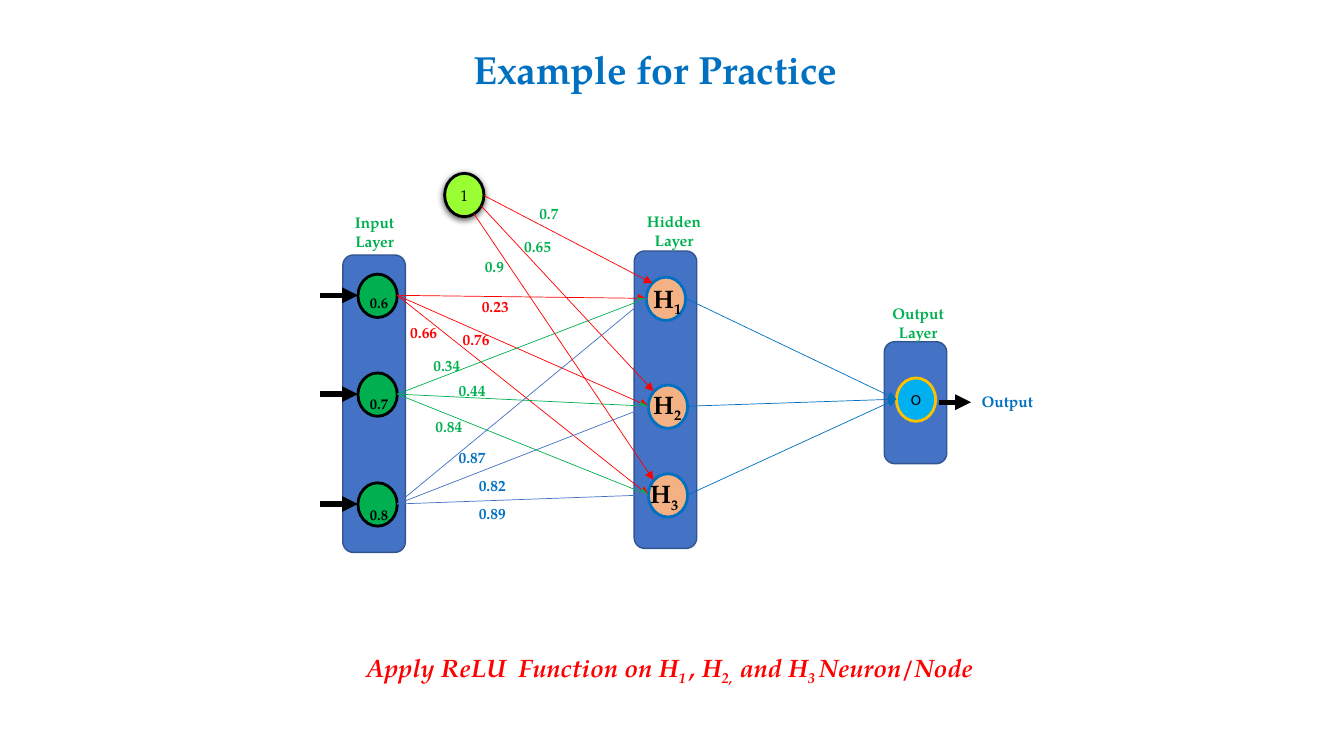
import dataclasses
import itertools
import typing

import lxml.etree
import pptx
import pptx.dml.color
import pptx.enum.shapes
import pptx.enum.text
import pptx.oxml.ns
import pptx.util

RGB = pptx.dml.color.RGBColor
SHAPE = pptx.enum.shapes.MSO_SHAPE
ALIGN = pptx.enum.text.PP_ALIGN
ANCHOR = pptx.enum.text.MSO_ANCHOR
FIT = pptx.enum.text.MSO_AUTO_SIZE
Pt = pptx.util.Pt
qn = pptx.oxml.ns.qn

BLACK = RGB(0x00, 0x00, 0x00)
BLUE = RGB(0x00, 0x70, 0xC0)
RED = RGB(0xFF, 0x00, 0x00)
GREEN = RGB(0x00, 0xB0, 0x50)
PANEL = RGB(0x44, 0x72, 0xC4)
EDGE = RGB(0x32, 0x54, 0x91)
PEACH = RGB(0xF4, 0xB1, 0x83)
SKY = RGB(0x00, 0xB0, 0xF0)
GOLD = RGB(0xFF, 0xC0, 0x00)
LIME = RGB(0x99, 0xFF, 0x33)

SERIF = "TeX Gyre Pagella"
SCALE = 9144  # EMU per px, 100 px to the inch
NODE_W, NODE_H = 39, 43

Point = tuple[int, int]


@dataclasses.dataclass
class Box:
    x: int
    y: int
    w: int
    h: int

    def emu(self) -> list[int]:
        return [v * SCALE for v in (self.x, self.y, self.w, self.h)]


@dataclasses.dataclass
class Label:
    """Text whose words alternate between normal and subscript."""
    words: tuple[str, ...]
    box: Box
    color: RGB
    size: int = 11
    align: typing.Optional[ALIGN] = None
    bold: bool = True
    italic: bool = False
    font: str = SERIF
    wrap: bool = True


@dataclasses.dataclass
class Node:
    x: int
    y: int
    fill: RGB
    line: RGB


def apply(item: typing.Any, values: dict[str, typing.Any]) -> None:
    for name, value in values.items():
        setattr(item, name, value)


def write(frame: typing.Any, label: Label) -> None:
    apply(frame, {"word_wrap": label.wrap, "auto_size": FIT.NONE})
    line = frame.paragraphs[0]
    line.alignment = label.align
    for index, word in enumerate(label.words):
        if not word:
            continue
        run = line.add_run()
        run.text = word
        apply(run.font, {"name": label.font, "size": Pt(label.size),
                         "bold": label.bold, "italic": label.italic})
        run.font.color.rgb = label.color
        if index % 2:
            run._r.get_or_add_rPr().set("baseline", "-25000")


def add_text(shapes: typing.Any, label: Label) -> None:
    box = shapes.add_textbox(*label.box.emu())
    box.text_frame.vertical_anchor = ANCHOR.TOP
    write(box.text_frame, label)


def add_shape(shapes: typing.Any, kind: SHAPE, box: Box, fill: RGB,
              line: RGB, width: int) -> typing.Any:
    shape = shapes.add_shape(kind, *box.emu())
    shape.shadow.inherit = False
    shape.fill.solid()
    shape.fill.fore_color.rgb = fill
    shape.line.color.rgb = line
    shape.line.width = Pt(width)
    return shape


def add_node(shapes: typing.Any, node: Node, text: str = "",
             font: str = SERIF) -> typing.Any:
    box = Box(node.x, node.y, NODE_W, NODE_H)
    shape = add_shape(shapes, SHAPE.OVAL, box, node.fill, node.line, 2)
    if text:
        frame = shape.text_frame
        apply(frame, {"vertical_anchor": ANCHOR.MIDDLE, "margin_left": 0,
                      "margin_right": 0, "margin_top": 0, "margin_bottom": 0})
        write(frame, Label((text,), box, BLACK, align=ALIGN.CENTER,
                           bold=False, font=font))
    return shape


def add_arrow(shapes: typing.Any, start: Point, end: Point, color: RGB,
              width: float = 0.5) -> None:
    ends = [v * SCALE for v in (*start, *end)]
    arrow = shapes.add_connector(
        pptx.enum.shapes.MSO_CONNECTOR.STRAIGHT, *ends)
    arrow.line.color.rgb = color
    arrow.line.width = Pt(width)
    props = arrow.element.spPr
    lxml.etree.SubElement(props.find(qn("a:ln")), qn("a:tailEnd"),
                          type="triangle")
    lxml.etree.SubElement(props, qn("a:effectLst"))


def add_shadow(shape: typing.Any) -> None:
    effects = shape.element.spPr.find(qn("a:effectLst"))
    outer = lxml.etree.SubElement(effects, qn("a:outerShdw"), blurRad="57150",
                                  dist="19050", dir="5400000", algn="ctr",
                                  rotWithShape="0")
    color = lxml.etree.SubElement(outer, qn("a:srgbClr"), val="000000")
    lxml.etree.SubElement(color, qn("a:alpha"), val="63000")


TITLE = Label(("Example for Practice",), Box(366, 40, 568, 57), BLUE, 28,
              ALIGN.CENTER)
TASK = Label(("Apply ReLU  Function on H", "1 ", ", H", "2,  ", "and H", "3 ",
              "Neuron/Node"), Box(244, 642, 840, 40), RED, 18, ALIGN.CENTER,
             italic=True)
PANELS = [Box(340, 253, 62, 295), Box(629, 249, 62, 295),
          Box(877, 339, 62, 121)]
INPUTS = [Node(355, y, GREEN, BLACK) for y in (272, 370, 479)]
HIDDEN = [Node(x, y, PEACH, BLUE)
          for x, y in ((641, 275), (643, 382), (643, 470))]
OUT = Node(889, 375, SKY, GOLD)
BIAS = Node(441, 172, LIME, BLACK)
BIAS_ENDS = [((480, 194), (647, 281)), ((477, 204), (648, 388)),
             ((470, 212), (648, 476))]
WEIGHTS = [
    ("0.23", 468, 290, RED), ("0.76", 449, 323, RED), ("0.66", 397, 316, RED),
    ("0.34", 420, 348, GREEN), ("0.44", 445, 373, GREEN),
    ("0.84", 422, 409, GREEN), ("0.87", 445, 440, BLUE),
    ("0.82", 465, 467, BLUE), ("0.89", 465, 495, BLUE),
    ("0.7", 525, 198, GREEN), ("0.65", 510, 230, GREEN),
    ("0.9", 471, 250, GREEN),
]
LAYERS = [("Input Layer", 329, 207), ("Hidden Layer", 626, 206),
          ("Output Layer", 868, 297)]
VALUES = [("0.6", 270), ("0.7", 370), ("0.8", 480)]
NAMES = [("1", 638, 276), ("2", 638, 381), ("3", 635, 470)]


def left(node: Node) -> Point:
    return node.x, node.y + NODE_H // 2


def right(node: Node) -> Point:
    return node.x + NODE_W, node.y + NODE_H // 2


def main() -> None:
    deck = pptx.Presentation()
    apply(deck, {"slide_width": 1333 * SCALE, "slide_height": 750 * SCALE})
    slide = deck.slides.add_slide(deck.slide_layouts[5])
    shapes = slide.shapes
    title = shapes.title
    apply(title, dict(zip(("left", "top", "width", "height"),
                          TITLE.box.emu())))
    title.text_frame.vertical_anchor = ANCHOR.TOP
    write(title.text_frame, TITLE)
    add_text(shapes, TASK)

    for panel in PANELS:
        add_shape(shapes, SHAPE.ROUNDED_RECTANGLE, panel, PANEL, EDGE, 1)
    for node in INPUTS + HIDDEN:
        add_node(shapes, node)
    add_node(shapes, OUT, "O", "Calibri")

    colors = (RED, GREEN, PANEL)
    for (node, color), unit in itertools.product(zip(INPUTS, colors), HIDDEN):
        add_arrow(shapes, right(node), left(unit), color)
    for unit in HIDDEN:
        add_arrow(shapes, right(unit), left(OUT), BLUE)
    for node in INPUTS:
        x, y = left(node)
        add_arrow(shapes, (x - 38, y), (x, y), BLACK, 3.75)
    add_arrow(shapes, (931, 399), (963, 399), BLACK, 3.75)

    add_shadow(add_node(shapes, BIAS, "1"))
    for start, end in BIAS_ENDS:
        add_arrow(shapes, start, end, RED)

    for text, x, y, color in WEIGHTS:
        add_text(shapes, Label((text,), Box(x, y, 85, 29), color))
    for text, x, y in LAYERS:
        add_text(shapes, Label((text,), Box(x, y, 85, 47), GREEN,
                               align=ALIGN.CENTER))
    add_text(shapes, Label(("Output",), Box(963, 384, 72, 29), BLUE,
                           align=ALIGN.CENTER, wrap=False))
    for digit, x, y in NAMES:
        add_text(shapes, Label(("H", digit), Box(x, y, 59, 40), BLACK, 18))
    for text, y in VALUES:
        add_text(shapes, Label(("", text), Box(357, y, 59, 30), BLACK, 18))
    deck.save("out.pptx")


if __name__ == "__main__":
    main()
